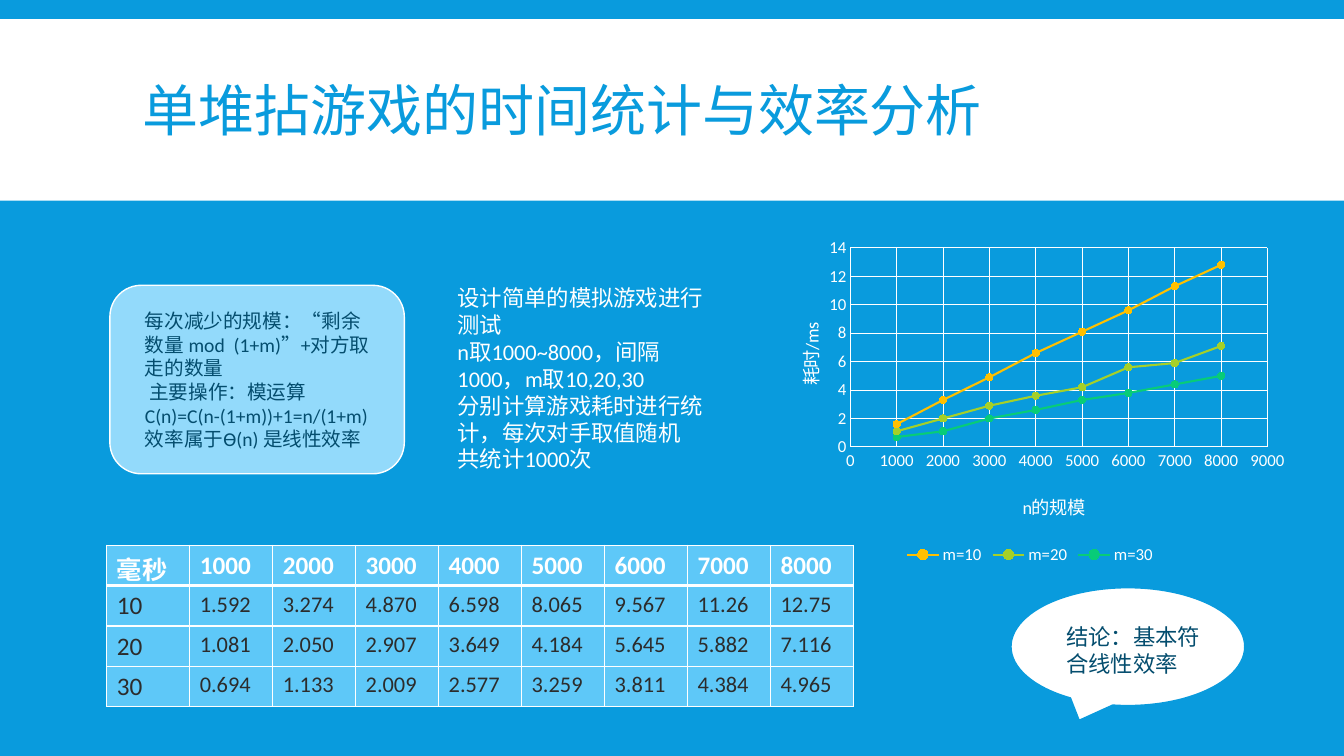
from lxml import etree
from pptx import Presentation
from pptx.chart.data import XyChartData
from pptx.dml.color import RGBColor
from pptx.enum.chart import XL_CHART_TYPE as ChartType, XL_LEGEND_POSITION as LegendPos
from pptx.enum.chart import XL_MARKER_STYLE as Marker, XL_TICK_MARK as Tick
from pptx.enum.shapes import MSO_SHAPE as Shape
from pptx.enum.text import MSO_ANCHOR as Anchor
from pptx.oxml.ns import qn
from pptx.util import Cm, Pt

FONT = "Calibri"
BLUE, WHITE, NAVY, DARK = "099BDD", "FFFFFF", "044D6E", "2C2C2C"
PALE, CELL = "93DAFB", "5EC8F8"

SIZES = range(1000, 9000, 1000)
TIMES = {
    10: ["1.592", "3.274", "4.870", "6.598", "8.065", "9.567", "11.26", "12.75"],
    20: ["1.081", "2.050", "2.907", "3.649", "4.184", "5.645", "5.882", "7.116"],
    30: ["0.694", "1.133", "2.009", "2.577", "3.259", "3.811", "4.384", "4.965"],
}
SERIES_COLORS = ["FFC000", "A5D028", "08CC78"]

RULE_NOTES = [
    "每次减少的规模：“剩余数量 mod  (1+m)”+对方取走的数量",
    " 主要操作：模运算",
    "C(n)=C(n-(1+m))+1=n/(1+m)",
    "效率属于Ɵ(n) 是线性效率",
]
TEST_NOTES = [
    "设计简单的模拟游戏进行测试",
    "n取1000~8000，间隔1000，m取10,20,30",
    "分别计算游戏耗时进行统计，每次对手取值随机",
    "共统计1000次",
]


def rgb(color):
    return RGBColor.from_string(color)


def box(at):
    return [Cm(v) for v in at]


def set_font(font, size, color, bold=False):
    font.name, font.size, font.bold = FONT, Pt(size), bold
    font.color.rgb = rgb(color)


def set_line(line, color, width):
    line.color.rgb = rgb(color)
    line.width = Pt(width)


def add_panel(s, kind, at, fill, line=None):
    sp = s.shapes.add_shape(kind, *box(at))
    sp.shadow.inherit = False
    sp.fill.solid()
    sp.fill.fore_color.rgb = rgb(fill)
    if line:
        set_line(sp.line, line, 1)
    else:
        sp.line.fill.background()


def add_text(s, at, lines, size, color, anchor=Anchor.TOP, spacing=None):
    tf = s.shapes.add_textbox(*box(at)).text_frame
    tf.word_wrap = True
    tf.vertical_anchor = anchor
    for i, line in enumerate(lines):
        p = tf.paragraphs[0] if i == 0 else tf.add_paragraph()
        p.text = line
        p.line_spacing = spacing
        set_font(p.font, size, color)


def set_border(cell, side, width):
    ln = etree.SubElement(cell._tc.get_or_add_tcPr(), qn(f"a:ln{side}"), w=str(Pt(width)))
    fill = etree.SubElement(ln, qn("a:solidFill"))
    etree.SubElement(fill, qn("a:srgbClr"), val=WHITE)


def add_times_table(s, at):
    rows = [["毫秒", *map(str, SIZES)]]
    rows += [[str(m), *times] for m, times in TIMES.items()]
    table = s.shapes.add_table(len(rows), len(rows[0]), *box(at)).table
    table.horz_banding = False
    for r, row in enumerate(rows):
        for c, text in enumerate(row):
            cell = table.cell(r, c)
            cell.text = text
            header = r == 0
            size = 18 if header and c == 0 or c == 0 else 18 if header else 16
            set_font(cell.text_frame.paragraphs[0].font, size,
                     WHITE if header else DARK, header)
            # The rule below the header is thicker
            widths = {"L": 1, "R": 1, "T": 3 if r == 1 else 1, "B": 3 if header else 1}
            for side, width in widths.items():
                set_border(cell, side, width)
            cell.fill.solid()
            cell.fill.fore_color.rgb = rgb(CELL)


def place(element, index, inner=False, **fractions):
    """Fix a chart part at fractions of the chart area."""
    layout = element.find(qn("c:layout"))
    if layout is None:
        layout = etree.Element(qn("c:layout"))
        element.insert(index, layout)
    manual = etree.SubElement(layout, qn("c:manualLayout"))
    if inner:
        etree.SubElement(manual, qn("c:layoutTarget"), val="inner")
    for name in ("x", "y"):
        etree.SubElement(manual, qn(f"c:{name}Mode"), val="edge")
    for name, value in fractions.items():
        etree.SubElement(manual, qn(f"c:{name}"), val=str(value))


def style_axis(axis, title, top, step, x, y):
    axis.minimum_scale, axis.maximum_scale, axis.major_unit = 0, top, step
    axis.major_tick_mark = axis.minor_tick_mark = Tick.NONE
    axis.has_major_gridlines = True
    set_line(axis.major_gridlines.format.line, WHITE, 0.75)
    set_line(axis.format.line, WHITE, 0.75)
    set_font(axis.tick_labels.font, 12, WHITE)
    p = axis.axis_title.text_frame.paragraphs[0]
    p.text = title
    set_font(p.font, 13, WHITE)
    place(axis.axis_title._element, 1, x=x, y=y)


def add_times_chart(s, at):
    data = XyChartData()
    for m, times in TIMES.items():
        series = data.add_series(f"m={m}")
        for n, t in zip(SIZES, times):
            series.add_data_point(n, round(float(t), 1))
    chart = s.shapes.add_chart(ChartType.XY_SCATTER_SMOOTH, *box(at), data).chart
    set_font(chart.font, 10, WHITE)
    chart.has_title = False
    chart.has_legend = True
    chart.legend.position = LegendPos.BOTTOM
    chart.legend.include_in_layout = False
    set_font(chart.legend.font, 12, WHITE)
    style_axis(chart.category_axis, "n的规模", 9000, 1000, 0.48, 0.76)
    style_axis(chart.value_axis, "耗时/ms", 14, 2, 0.05, 0.26)
    plot = chart.plots[0]
    plot.vary_by_categories = False
    place(plot._element.getparent(), 0, inner=True, x=0.16, y=0.05, w=0.79, h=0.59)
    for series, color in zip(plot.series, SERIES_COLORS):
        series.smooth = True
        set_line(series.format.line, color, 1.5)
        series.marker.style, series.marker.size = Marker.CIRCLE, 5
        series.marker.format.fill.solid()
        series.marker.format.fill.fore_color.rgb = rgb(color)
        set_line(series.marker.format.line, color, 0.75)


def main():
    prs = Presentation()
    prs.slide_width, prs.slide_height = Cm(33.87), Cm(19.05)
    s = prs.slides.add_slide(prs.slide_layouts[6])
    s.background.fill.solid()
    s.background.fill.fore_color.rgb = rgb(BLUE)

    # Title band
    add_panel(s, Shape.RECTANGLE, (0, 0.48, 33.87, 4.58), WHITE)
    add_text(s, (3.35, 0.79, 27.18, 4.19), ["单堆拈游戏的时间统计与效率分析"],
             40, BLUE, Anchor.MIDDLE, 0.85)

    # Analysis and test design
    add_panel(s, Shape.ROUNDED_RECTANGLE, (2.77, 7.19, 7.42, 4.75), PALE, WHITE)
    add_text(s, (3.4, 7.67, 6.3, 3.84), RULE_NOTES, 14, NAVY)
    add_text(s, (11.28, 7.04, 7.21, 5.05), TEST_NOTES, 16, WHITE)

    # Measured times
    add_times_table(s, (2.69, 13.74, 18.82, 4.06))
    add_times_chart(s, (19.3, 5.82, 13.31, 8.51))

    # Conclusion
    add_panel(s, Shape.OVAL_CALLOUT, (25.48, 14.81, 5.89, 2.97), WHITE, BLUE)
    add_text(s, (26.62, 15.57, 4.04, 1.63), ["结论：基本符合线性效率"], 16, NAVY)

    prs.save("out.pptx")


if __name__ == "__main__":
    main()
